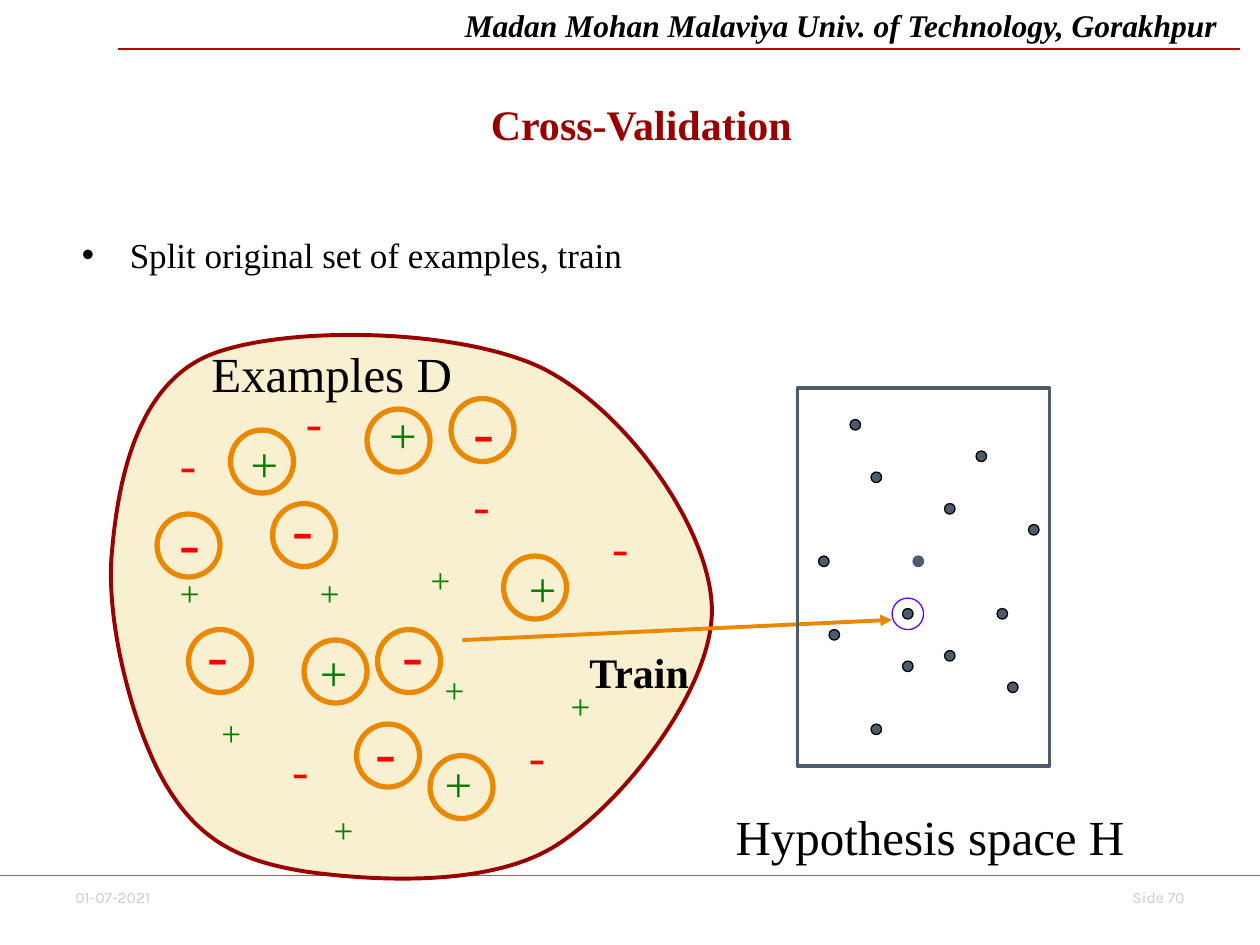
from lxml import etree
from pptx import Presentation
from pptx import util as u
from pptx.dml.color import RGBColor
from pptx.enum import shapes, text
from pptx.oxml.ns import qn

BLACK = RGBColor(0x00, 0x00, 0x00)
GRAY = RGBColor(0xCC, 0xCC, 0xCC)
CRIMSON = RGBColor(0xC0, 0x00, 0x00)
MAROON = RGBColor(0x99, 0x00, 0x00)
LEAF = RGBColor(0x00, 0xB0, 0x50)
CREAM = RGBColor(0xF8, 0xF0, 0xD0)
GREEN = RGBColor(0x00, 0x80, 0x00)
RED = RGBColor(0xFF, 0x00, 0x00)
ORANGE = RGBColor(0xEB, 0x88, 0x03)
SLATE = RGBColor(0x4E, 0x5B, 0x6F)
VIOLET = RGBColor(0x66, 0x00, 0xFF)

SERIF = "Times New Roman"
UNIT = 1 / 12

OUTLINE_START = (1.61, 4.34)
OUTLINE_CURVES = [
    ((1.09, 4.26), (0.76, 4.10), (0.50, 3.67)),
    ((0.24, 3.25), (0.00, 2.36), (0.06, 1.79)),
    ((0.11, 1.22), (0.26, 0.48), (0.83, 0.24)),
    ((1.41, 0.00), (2.83, 0.02), (3.49, 0.35)),
    ((4.15, 0.69), (4.80, 1.61), (4.82, 2.24)),
    ((4.84, 2.86), (4.14, 3.77), (3.60, 4.12)),
    ((3.07, 4.47), (2.12, 4.41), (1.61, 4.34)),
]
SIGNS = [
    ("+", 20, GREEN, 0.36, 0.43, [(1.61, 1.91), (2.60, 2.68), (0.50, 1.91), (1.72, 3.79),
                                  (3.60, 2.80), (0.83, 3.02), (2.49, 1.80)]),
    ("-", 28, RED, 0.33, 0.57, [(3.27, 3.13), (0.50, 0.81), (1.39, 3.24), (2.83, 1.14),
                                (3.93, 1.47), (1.50, 0.48)]),
    ("+", 28, GREEN, 0.43, 0.57, [(1.61, 2.47), (2.16, 0.58), (3.27, 1.80), (1.06, 0.81),
                                  (2.60, 3.35)]),
    ("-", 36, RED, 0.37, 0.70, [(0.72, 2.25), (0.50, 1.36), (2.27, 2.25), (2.83, 0.48),
                                (1.39, 1.25), (2.05, 3.02)]),
]
TRAINING_RINGS = [(12, 10), (16, 17), (5, 18), (8, 29), (19, 30), (26, 29),
                  (25, 8), (33, 7), (38, 22), (24, 38), (31, 41)]
HYPOTHESES = [(10, 21), (7, 8), (5, 3), (14, 11), (22, 13), (2, 16), (14, 25),
              (3, 23), (19, 21), (10, 26), (17, 6), (20, 28), (7, 32)]
PLAIN_HYPOTHESIS = (11, 16)
CHOSEN_RING = (9, 20)


def write(frame, words, size, color=BLACK, font=SERIF, bold=False, italic=False,
          align=text.PP_ALIGN.LEFT, wrap=True):
    """Put formatted words in a text frame and return the paragraph."""
    frame.word_wrap = wrap
    frame.auto_size = text.MSO_AUTO_SIZE.NONE
    frame.vertical_anchor = text.MSO_ANCHOR.TOP
    paragraph = frame.paragraphs[0]
    paragraph.alignment = align
    paragraph.space_before = u.Pt(0)
    run = paragraph.add_run()
    run.text = words
    run.font.name = font
    run.font.size = u.Pt(size)
    run.font.bold = bold
    run.font.italic = italic
    run.font.color.rgb = color
    return paragraph


def place(shape, box):
    """Move and size a shape to a box in inches."""
    shape.left, shape.top, shape.width, shape.height = map(u.Inches, box)


def add_label(slide, box, words, size, **style):
    """Add a text box."""
    shape = slide.shapes.add_textbox(*map(u.Inches, box))
    write(shape.text_frame, words, size, **style)


def paint(shape, fill, line, width):
    """Set fill and line of a shape and drop its shadow."""
    shape.shadow.inherit = False
    if fill is None:
        shape.fill.background()
    else:
        shape.fill.solid()
        shape.fill.fore_color.rgb = fill
    shape.line.color.rgb = line
    shape.line.width = u.Pt(width)


def add_circle(slide, box, cell, cells, fill, line, width):
    """Add a circle at a cell of the grid that starts at the box corner."""
    left, top = (box[i] + cell[i] * UNIT for i in (0, 1))
    side = u.Inches(cells * UNIT)
    circle = slide.shapes.add_shape(shapes.MSO_SHAPE.OVAL, u.Inches(left), u.Inches(top), side, side)
    paint(circle, fill, line, width)


def add_line(slide, start, end, color, width, arrow=False):
    """Add a straight line, with an arrowhead at its end on request."""
    line = slide.shapes.add_connector(shapes.MSO_CONNECTOR.STRAIGHT, *map(u.Inches, start + end))
    line.line.color.rgb = color
    line.line.width = u.Pt(width)
    properties = line._element.spPr
    if arrow:
        etree.SubElement(properties.find(qn("a:ln")), qn("a:tailEnd"), type="triangle")
    etree.SubElement(properties, qn("a:effectLst"))


def add_curved_outline(slide, box, start, curves):
    """Add a closed freeform whose sides are cubic curves."""
    builder = slide.shapes.build_freeform(*map(u.Inches, start))
    builder.add_line_segments([tuple(map(u.Inches, point)) for curve in curves for point in curve])
    outline = builder.convert_to_shape(*map(u.Inches, box))
    route = next(outline._element.iter(qn("a:path")))
    segments = route.findall(qn("a:lnTo"))
    for first in range(0, len(segments), 3):
        curve = etree.Element(qn("a:cubicBezTo"))
        segments[first].addprevious(curve)
        for segment in segments[first:first + 3]:
            curve.append(segment[0])
            route.remove(segment)
    return outline


def add_page_frame(slide, width):
    """Add the header, footer and their rules."""
    add_label(slide, (0.5, 7, 1.03, 0.25), "01-07-2021", 9, color=GRAY, font="Karla")
    add_label(slide, (8.67, 7, 0.83, 0.25), "Side 70", 9, color=GRAY, font="Karla",
              align=text.PP_ALIGN.RIGHT)
    add_label(slide, (3.59, 0, 6.41, 0.4), "Madan Mohan Malaviya Univ. of Technology, Gorakhpur",
              18, bold=True, italic=True)
    add_line(slide, (0.94, 0.39), (9.84, 0.39), CRIMSON, 0.75)
    add_line(slide, (0, 6.95), (width, 6.95), LEAF, 0.75)


def fill_placeholders(slide, title_box, body_box):
    """Write the title and the bullet."""
    title, body = slide.placeholders[0], slide.placeholders[1]
    place(title, title_box)
    write(title.text_frame, "Cross-Validation", 24, color=MAROON, bold=True,
          align=text.PP_ALIGN.CENTER)
    place(body, body_box)
    paragraph = write(body.text_frame, "Split original set of examples, train", 20)
    properties = paragraph._p.get_or_add_pPr()
    properties.set("marL", str(u.Inches(0.38)))
    properties.set("indent", str(-u.Inches(0.38)))
    etree.SubElement(properties, qn("a:buChar"), char="•")


def add_examples(slide, box):
    """Draw the example set with its signs and training rings."""
    left, top = box
    paint(add_curved_outline(slide, box, OUTLINE_START, OUTLINE_CURVES), CREAM, MAROON, 2.25)
    for sign, size, color, width, height, spots in SIGNS:
        for x, y in spots:
            add_label(slide, (left + x, top + y, width, height), sign, size, color=color, wrap=False)
    for cell in TRAINING_RINGS:
        add_circle(slide, box, cell, 6, None, ORANGE, 3)


def add_hypothesis_space(slide, box):
    """Draw the hypothesis box, its dots, the chosen ring and the label."""
    left, top, width, height = box
    frame = slide.shapes.add_shape(shapes.MSO_SHAPE.RECTANGLE, *map(u.Inches, box))
    paint(frame, None, SLATE, 2.25)
    for cell in HYPOTHESES:
        add_circle(slide, box, cell, 1, SLATE, BLACK, 0.75)
    add_circle(slide, box, PLAIN_HYPOTHESIS, 1, SLATE, SLATE, 0.75)
    add_circle(slide, box, CHOSEN_RING, 3, None, VIOLET, 0.75)
    add_label(slide, (left - 0.59, top + height + 0.27, 2 * width, 0.57), "Hypothesis space H", 28)


def main():
    """Build and save the slide."""
    presentation = Presentation()
    presentation.slide_width, presentation.slide_height = u.Inches(10), u.Inches(7.5)
    slide = presentation.slides.add_slide(presentation.slide_layouts[1])
    add_page_frame(slide, 10)
    fill_placeholders(slide, (0.8, 0.73, 8.58, 0.75), (0.55, 1.8, 4.54, 0.46))
    add_examples(slide, (0.83, 2.58))
    add_line(slide, (3.67, 5.08), (7.08, 4.92), ORANGE, 2.25, arrow=True)
    add_hypothesis_space(slide, (6.33, 3.08, 2, 3))
    add_label(slide, (4.58, 5.08, 1.17, 0.4), "Train", 24, bold=True)
    add_label(slide, (1.58, 2.68, 4, 0.57), "Examples D", 28)
    presentation.save("out.pptx")


if __name__ == "__main__":
    main()
